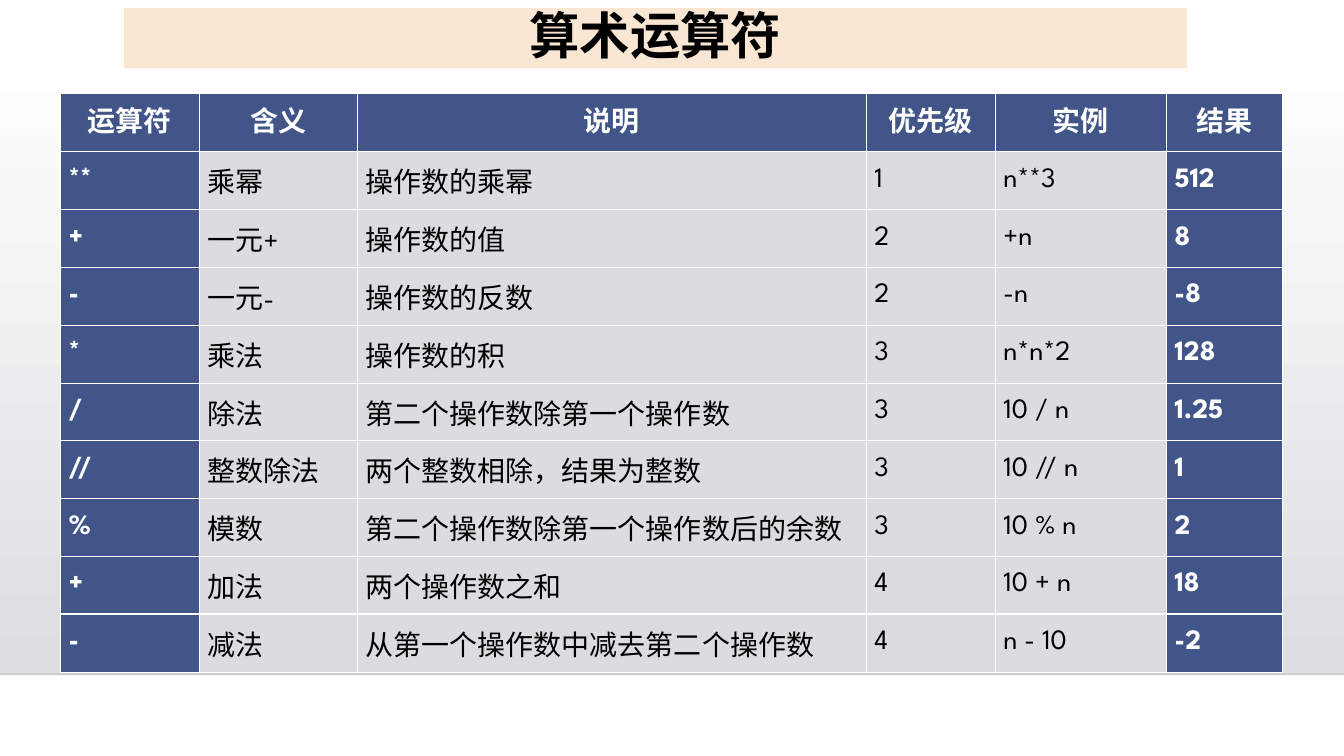
from lxml import etree
from pptx import Presentation
from pptx import util as u
from pptx.dml import color
from pptx.enum import shapes, text
from pptx.oxml import ns

WIDTH, HEIGHT = 13.34, 7.5
FONT = "League Spartan"
COLORS = {
    "white": "FFFFFF", "black": "000000", "rule": "000001",
    "peach": "F9E7D3", "navy": "415588", "gray": "DCDCE0", "shade": "DEDEE2",
}
COLUMNS = [1.38, 1.57, 5.05, 1.28, 1.7, 1.15]
THIN, THICK = 0.45, 1.47
OPERATORS = [
    ["运算符", "含义", "说明", "优先级", "实例", "结果"],
    ["**", "乘幂", "操作数的乘幂", "1", "n**3", "512"],
    ["+", "一元+", "操作数的值", "2", "+n", "8"],
    ["-", "一元-", "操作数的反数", "2", "-n", "-8"],
    ["*", "乘法", "操作数的积", "3", "n*n*2", "128"],
    ["/", "除法", "第二个操作数除第一个操作数", "3", "10 / n", "1.25"],
    ["//", "整数除法", "两个整数相除，结果为整数", "3", "10 // n", "1"],
    ["%", "模数", "第二个操作数除第一个操作数后的余数", "3", "10 % n", "2"],
    ["+", "加法", "两个操作数之和", "4", "10 + n", "18"],
    ["-", "减法", "从第一个操作数中减去第二个操作数", "4", "n - 10", "-2"],
]
THICK_BELOW = {0, len(OPERATORS) - 2}


def rgb(name):
    return color.RGBColor.from_string(COLORS[name])


def inches(box):
    return [u.Inches(length) for length in box]


def add_span(para, words, size, ink, bold):
    span = para.add_run()
    span.text = words
    span.font.name = FONT
    span.font.size = u.Pt(size)
    span.font.bold = bold
    span.font.color.rgb = rgb(ink)


def add_backdrop(page, box):
    """Shaded panel that darkens downwards, closed by a faint rule."""
    left, top, width, height = inches(box)
    panel = page.shapes.add_shape(shapes.MSO_SHAPE.RECTANGLE, left, top, width, height)
    panel.shadow.inherit = False
    panel.line.fill.background()
    panel.fill.gradient()
    panel.fill.gradient_angle = 270
    for stop, name in zip(panel.fill.gradient_stops, ("white", "shade")):
        stop.color.rgb = rgb(name)

    bottom = top + height
    rule = page.shapes.add_connector(
        shapes.MSO_CONNECTOR.STRAIGHT, left, bottom, left + width, bottom)
    rule.line.width = u.Pt(1)
    rule.line.color.rgb = rgb("rule")
    properties = rule._element.spPr
    ink = properties.find(".//" + ns.qn("a:srgbClr"))
    etree.SubElement(ink, ns.qn("a:alpha"), val="20000")
    etree.SubElement(properties, ns.qn("a:effectLst"))


def add_title(page, box, words):
    title = page.shapes.add_textbox(*inches(box))
    title.fill.solid()
    title.fill.fore_color.rgb = rgb("peach")
    frame = title.text_frame
    frame.word_wrap = True
    frame.vertical_anchor = text.MSO_ANCHOR.MIDDLE
    para = frame.paragraphs[0]
    para.alignment = text.PP_ALIGN.CENTER
    para.line_spacing = 0.9
    add_span(para, words, 36, "black", True)


def add_borders(cell, above, below):
    """White cell edges; must come before the cell's fill."""
    properties = cell._tc.get_or_add_tcPr()
    for side, width in (("L", THIN), ("R", THIN), ("T", above), ("B", below)):
        edge = etree.SubElement(properties, ns.qn("a:ln" + side), w=str(u.Pt(width)))
        fill = etree.SubElement(edge, ns.qn("a:solidFill"))
        etree.SubElement(fill, ns.qn("a:srgbClr"), val=COLORS["white"])


def fill_cell(cell, words, header, strong):
    cell.margin_left = cell.margin_right = u.Inches(0.08)
    cell.margin_top = cell.margin_bottom = u.Inches(0.05)
    cell.vertical_anchor = text.MSO_ANCHOR.TOP if header else text.MSO_ANCHOR.MIDDLE
    cell.fill.solid()
    cell.fill.fore_color.rgb = rgb("navy" if strong else "gray")
    para = cell.text_frame.paragraphs[0]
    para.alignment = text.PP_ALIGN.CENTER if header else text.PP_ALIGN.JUSTIFY
    add_span(para, words, 20, "white" if strong else "black", strong)


def add_operator_table(page, box):
    table = page.shapes.add_table(len(OPERATORS), len(COLUMNS), *inches(box)).table
    table.horz_banding = False
    for column, share in zip(table.columns, COLUMNS):
        column.width = u.Inches(box[2] * share / sum(COLUMNS))
    for r, row in enumerate(OPERATORS):
        table.rows[r].height = u.Inches(box[3] / len(OPERATORS))
        above = THICK if r - 1 in THICK_BELOW else THIN
        below = THICK if r in THICK_BELOW else THIN
        for c, words in enumerate(row):
            cell = table.cell(r, c)
            add_borders(cell, above, below)
            strong = r == 0 or c in (0, len(COLUMNS) - 1)
            fill_cell(cell, words, r == 0, strong)


def main():
    deck = Presentation()
    deck.slide_width, deck.slide_height = inches((WIDTH, HEIGHT))
    page = deck.slides.add_slide(deck.slide_layouts[6])
    add_backdrop(page, (0, 0.51, WIDTH, 6.18))
    add_title(page, (1.23, 0.08, 10.55, 0.6), "算术运算符")
    add_operator_table(page, (0.6, 0.93, 12.13, 5.74))
    deck.save("out.pptx")


if __name__ == "__main__":
    main()
